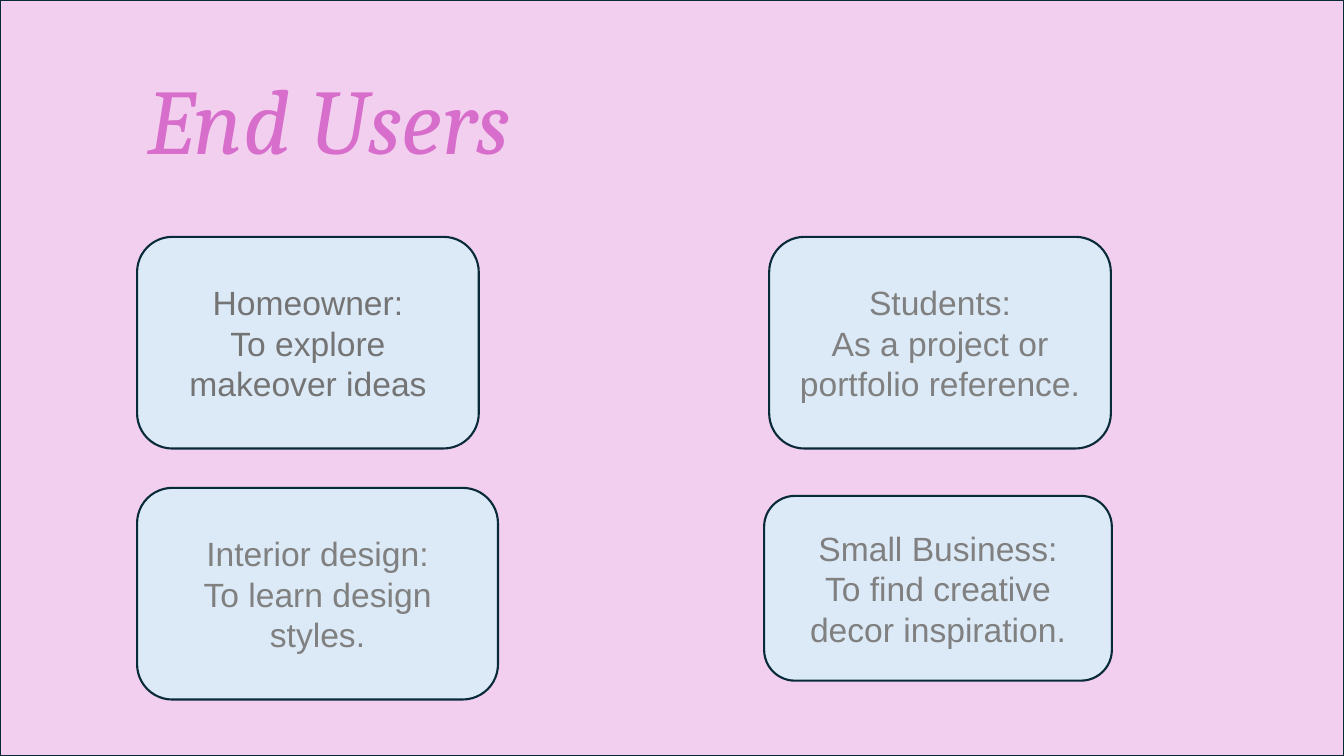
"""Builds the End Users slide: a title above four rounded cards."""
from pptx import Presentation
from pptx import util as u
from pptx.dml.color import RGBColor
from pptx.enum import shapes, text

COLORS = {"page": "F2CFEE", "title": "D86ECC", "card": "DCEAF7",
          "outline": "092A39", "dark": "747474", "gray": "808080"}
PAGE_SIZE = (960, 540)
TITLE = "End Users"
TITLE_BOX = (97.9, 41, 804.2, 87.1)
CARDS = [
    ((97.9, 169.2, 244.1, 151.2), "dark", ("Homeowner:", "To explore makeover ideas")),
    ((549.4, 169.2, 244.1, 151.2), "gray", ("Students:", "As a project or portfolio reference.")),
    ((97.9, 348.5, 257.8, 151.2), "gray", ("Interior design:", "To learn design styles.")),
    ((545.8, 354.2, 248.4, 132), "gray", ("Small Business:", "To find creative decor inspiration.")),
]


def color(name):
    return RGBColor.from_string(COLORS[name])


def add_panel(page, kind, bounds, fill):
    panel = page.shapes.add_shape(kind, *map(u.Pt, bounds))
    panel.shadow.inherit = False
    panel.fill.solid()
    panel.fill.fore_color.rgb = color(fill)
    panel.line.color.rgb = color("outline")
    panel.line.width = u.Pt(1.5)
    return panel


def add_span(para, words, font, size, ink):
    span = para.add_run()
    span.text = words
    span.font.name = font
    span.font.size = u.Pt(size)
    span.font.color.rgb = color(ink)
    return span


def fill_title(title):
    title.left, title.top, title.width, title.height = map(u.Pt, TITLE_BOX)
    frame = title.text_frame
    frame.auto_size = text.MSO_AUTO_SIZE.NONE
    frame.vertical_anchor = text.MSO_ANCHOR.TOP
    para = frame.paragraphs[0]
    para.alignment = text.PP_ALIGN.LEFT
    add_span(para, TITLE, "Cambria", 66, "title").font.italic = True


def add_card(page, bounds, ink, lines):
    card = add_panel(page, shapes.MSO_SHAPE.ROUNDED_RECTANGLE, bounds, "card")
    frame = card.text_frame
    frame.word_wrap = True
    frame.vertical_anchor = text.MSO_ANCHOR.MIDDLE
    for number, words in enumerate(lines):
        para = frame.add_paragraph() if number else frame.paragraphs[0]
        para.alignment = text.PP_ALIGN.CENTER
        para.line_spacing = u.Pt(28.8)
        add_span(para, words, "Arial", 24, ink)


def main():
    deck = Presentation()
    deck.slide_width, deck.slide_height = map(u.Pt, PAGE_SIZE)
    page = deck.slides.add_slide(deck.slide_layouts.get_by_name("Title Only"))
    title = page.shapes.title
    backdrop = add_panel(page, shapes.MSO_SHAPE.RECTANGLE, (0, 0, *PAGE_SIZE), "page")
    title.element.addprevious(backdrop.element)
    fill_title(title)
    for card in CARDS:
        add_card(page, *card)
    deck.save("out.pptx")


if __name__ == "__main__":
    main()
